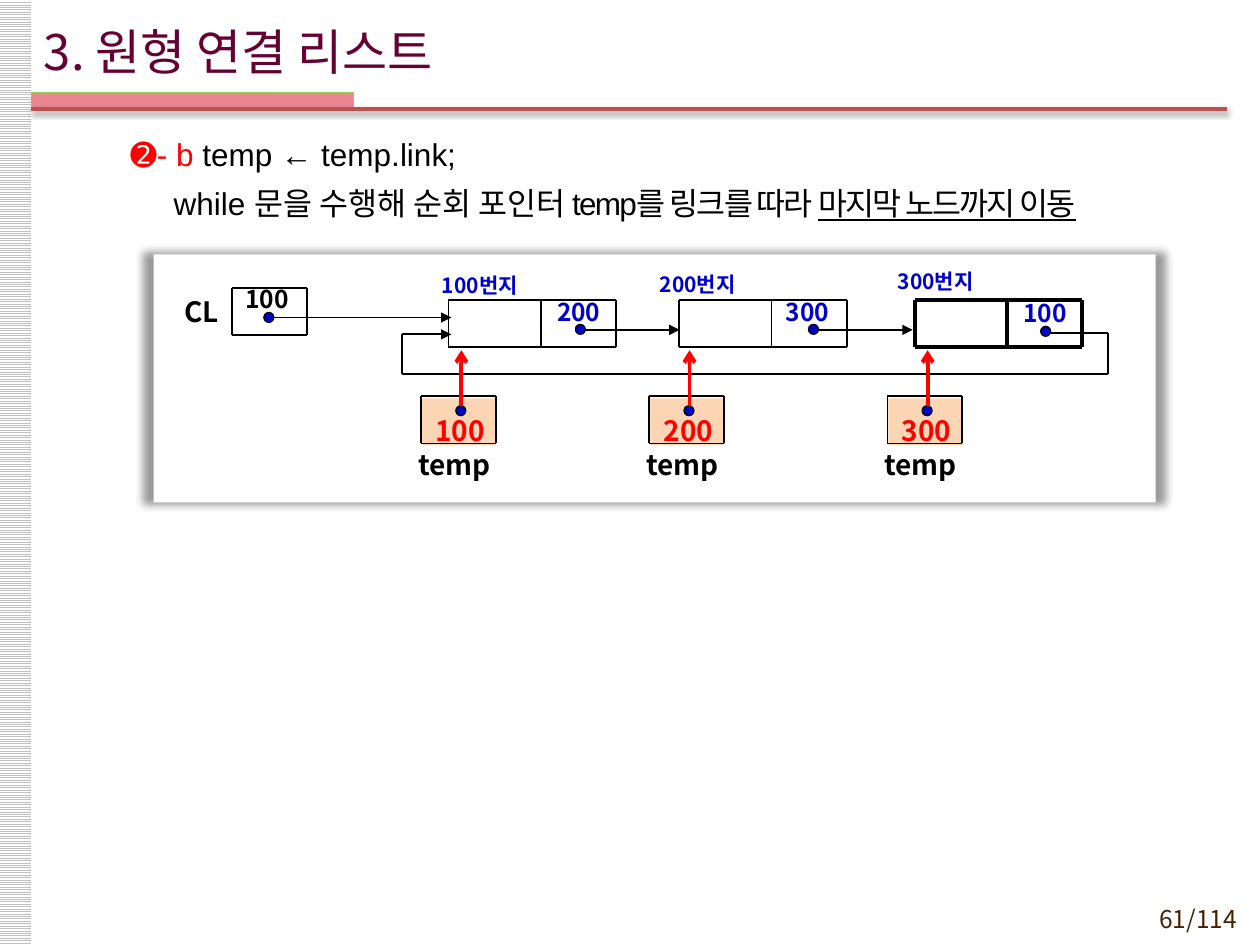
from itertools import pairwise
from lxml.etree import SubElement
from pptx import Presentation
from pptx.dml.color import RGBColor
from pptx.enum.dml import MSO_PATTERN as PAT
from pptx.enum.shapes import MSO_CONNECTOR as CON, MSO_SHAPE as SHAPE
from pptx.enum.text import MSO_ANCHOR as ANC, PP_ALIGN as AL
from pptx.oxml.ns import qn
from pptx.util import Cm, Pt

KR = "Noto Sans CJK KR"
BLACK, BLUE, RED = "000000", "0000CC", "FF0000"
ADDRESS = dict(size=Pt(12), bold=True, name=KR)
LINK = dict(size=Pt(14), bold=True, name=KR)
NAME = dict(size=Pt(16), bold=True, name=KR)
BODY = dict(size=Pt(18), name="Arial")

TITLE = "3. 원형 연결 리스트"
PAGE = "61/114"
LINES = [
    (1.75, [("➋- b", RED, {}), (" temp ← temp.link;", BLACK, {})]),
    (2.62, [("while 문을 수행해 순회 포인터 ", BLACK, {}),
            ("temp를 링크를 따라 ", BLACK, {"spc": "-100"}),
            ("마지막 노드까지 이동", BLACK, {"spc": "-100", "u": "sng"})]),
]
NODES = [
    dict(x=9.04, address="100번지", label=(8.66, 5.51), link="200", value=(10.98, 6.06), dot=(11.6, 6.54), weight=1),
    dict(x=13.69, address="200번지", label=(13.05, 5.49), link="300", value=(15.59, 6.05), dot=(16.3, 6.54), weight=1),
    dict(x=18.44, address="300번지", label=(17.85, 5.44), link="100", value=(20.38, 6.07), dot=(20.98, 6.58), weight=2.25),
]
TEMPS = [(8.49, "100"), (13.09, "200"), (17.89, "300")]
LOOP = [(21.18, 6.71), (22.33, 6.71), (22.33, 7.54), (8.1, 7.54), (8.1, 6.74), (9.1, 6.74)]
NODE_TOP, NODE_W, NODE_H, SPLIT, DOT, ARROW = 6.05, 3.38, 0.95, 1.86, 0.2, 1.9

prs = Presentation()
prs.slide_width, prs.slide_height = Cm(25.4), Cm(19.05)
s = prs.slides.add_slide(prs.slide_layouts[5])


def rgb(value):
    """Turn a hex string into a colour."""
    return RGBColor.from_string(value)


def effects(sp, **shadow):
    """Empty the effect list, or put one outer shadow in it."""
    spPr = sp._element.spPr
    lst = spPr.find(qn("a:effectLst"))
    if lst is None:
        lst = SubElement(spPr, qn("a:effectLst"))
    if shadow:
        alpha = shadow.pop("alpha")
        outer = SubElement(lst, qn("a:outerShdw"), {k: str(v) for k, v in shadow.items()})
        clr = SubElement(outer, qn("a:srgbClr"), val=BLACK)
        SubElement(clr, qn("a:alpha"), val=str(alpha))


def stroke(sp, color, weight, head=None):
    """Format an outline and its arrowhead."""
    sp.line.color.rgb, sp.line.width = rgb(color), Pt(weight)
    if head:
        SubElement(sp.line._get_or_add_ln(), qn("a:tailEnd"), type=head)


def shape(x, y, w, h, fill, color=None, weight=1, kind=SHAPE.RECTANGLE):
    """Add a filled preset shape."""
    sp = s.shapes.add_shape(kind, Cm(x), Cm(y), Cm(w), Cm(h))
    sp.shadow.inherit = False
    sp.fill.solid()
    sp.fill.fore_color.rgb = rgb(fill)
    if color:
        stroke(sp, color, weight)
    else:
        sp.line.fill.background()
    return sp


def dot(x, y):
    """Add a pointer dot."""
    shape(x, y, DOT, DOT, BLUE, BLACK, 0.75, SHAPE.OVAL)


def line(x1, y1, x2, y2, color=BLACK, weight=1, head=None, **shadow):
    """Add a straight line or arrow."""
    sp = s.shapes.add_connector(CON.STRAIGHT, Cm(x1), Cm(y1), Cm(x2), Cm(y2))
    stroke(sp, color, weight, head)
    effects(sp, **shadow)


def cell(x, y, w, h, weight=1, splits=()):
    """Rule a cell with optional inner dividers."""
    for edge in (y, y + h):
        line(x, edge, x + w, edge, weight=weight)
    for offset in (0, *splits, w):
        line(x + offset, y, x + offset, y + h, weight=weight)


def add_run(p, text, color, fmt, **attrs):
    """Add a formatted run."""
    r = p.add_run()
    r.text = text
    r.font.color.rgb = rgb(color)
    for key, value in fmt.items():
        setattr(r.font, key, value)
    for key, value in attrs.items():
        r._r.get_or_add_rPr().set(key, value)


def textbox(x, y, w, h, anchor=ANC.MIDDLE, flush=False):
    """Add an empty wrapping text box and return its frame."""
    tf = s.shapes.add_textbox(Cm(x), Cm(y), Cm(w), Cm(h)).text_frame
    tf.word_wrap, tf.vertical_anchor = True, anchor
    if flush:
        tf.margin_left = tf.margin_right = tf.margin_top = 0
    return tf


def label(text, x, y, w, h, fmt, color=BLACK, align=AL.LEFT, **box):
    """Add a one-line label."""
    p = textbox(x, y, w, h, **box).paragraphs[0]
    p.alignment = align
    add_run(p, text, color, fmt)


def frame():
    """Add the side strip, heading rule, title and page number."""
    strip = shape(-0.03, 0, 0.66, 19.05, "FFFFFF")
    strip.fill.patterned()
    strip.fill.pattern = PAT.LIGHT_HORIZONTAL
    strip.fill.fore_color.rgb, strip.fill.back_color.rgb = rgb("C0C0C0"), rgb("FFFFFF")
    label(PAGE, 22.5, 18.1, 2.69, 0.74, dict(size=Pt(14), name=KR), "452103", AL.RIGHT, anchor=ANC.TOP)
    shape(0.63, 1.86, 6.5, 0.35, "EA8892", "92D050", 0.75)
    line(0.63, 2.2, 24.74, 2.2, "C0504D", 2, blurRad=Pt(3.1), dist=Pt(1.6), dir=5400000, alpha=38000)
    title = s.shapes.title
    title.left, title.top, title.width, title.height = Cm(0.63), Cm(0.23), Cm(21), Cm(1.6)
    title.text_frame.vertical_anchor = ANC.MIDDLE
    p = title.text_frame.paragraphs[0]
    p.alignment = AL.LEFT
    add_run(p, TITLE, "660033", dict(size=Pt(28), name=KR))


def body():
    """Add the explanation lines."""
    tf = textbox(0.63, 2.59, 24.13, 15.88, ANC.TOP)
    for i, (indent, runs) in enumerate(LINES):
        p = tf.add_paragraph() if i else tf.paragraphs[0]
        p.space_before, p.space_after = Pt(3.6 if i else 0), Pt(3)
        p._p.get_or_add_pPr().set("marL", str(Cm(indent)))
        for text, color, attrs in runs:
            add_run(p, text, color, BODY, **attrs)


def diagram():
    """Add the circular list with its temp pointers."""
    panel = shape(3.1, 5.13, 20.2, 5, "FFFFFF")
    effects(panel, blurRad=Pt(5), sx=102000, sy=102000, algn="ctr", alpha=40000)
    label("CL", 3.24, 5.86, 1.17, 0.97, NAME, align=AL.RIGHT, flush=True)
    cell(4.67, 5.8, 1.52, 0.96)
    label("100", 4.7, 5.8, 1.42, 0.46, LINK)
    dot(5.32, 6.3)
    line(5.51, 6.4, 9.1, 6.4, weight=0.75, head="triangle")
    for node in NODES:
        x, (dot_x, dot_y) = node["x"], node["dot"]
        cell(x, NODE_TOP, NODE_W, NODE_H, node["weight"], [SPLIT])
        label(node["address"], *node["label"], 2.44, 0.46, ADDRESS, BLUE)
        label(node["link"], *node["value"], 1.42, 0.46, LINK, BLUE)
        dot(dot_x, dot_y)
        if node is not NODES[-1]:
            line(dot_x + DOT, 6.65, dot_x + DOT + ARROW, 6.65, weight=0.75, head="triangle")
    for start, end in pairwise(LOOP):
        line(*start, *end, head="triangle" if end == LOOP[-1] else None)
    for x, value in TEMPS:
        shape(x + 0.02, 8.03, 1.5, 0.94, "FCD5B5")
        label("temp", x - 0.13, 8.94, 1.53, 0.97, NAME, align=AL.RIGHT, flush=True)
        cell(x, 7.98, 1.51, 0.96)
        label(value, x + 0.04, 8.41, 1.6, 0.53, NAME, RED)
        dot(x + 0.7, 8.18)
        line(x + 0.81, 8.18, x + 0.81, 7.06, RED, 2.25, "arrow")


if __name__ == "__main__":
    frame()
    body()
    diagram()
    prs.save("out.pptx")
